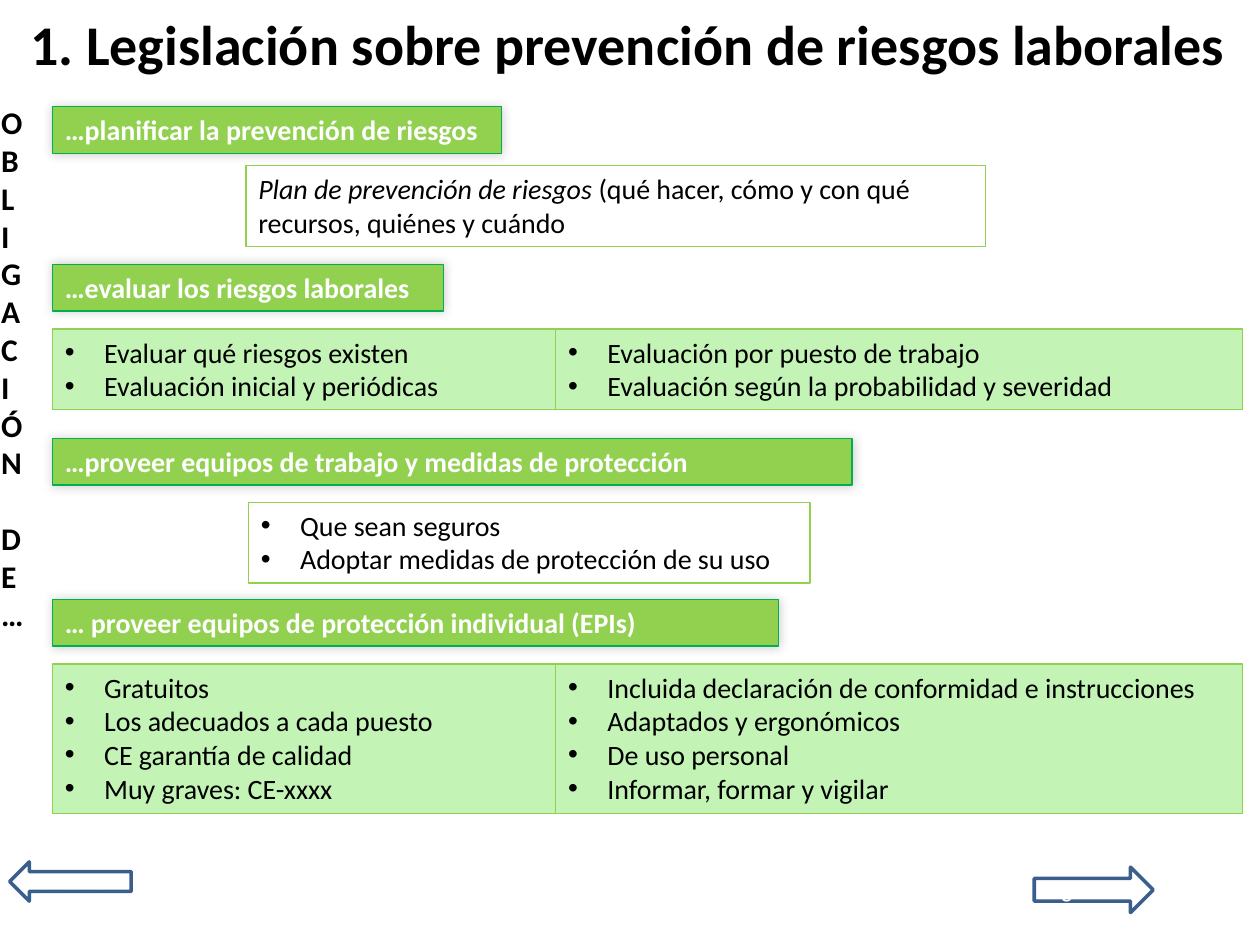
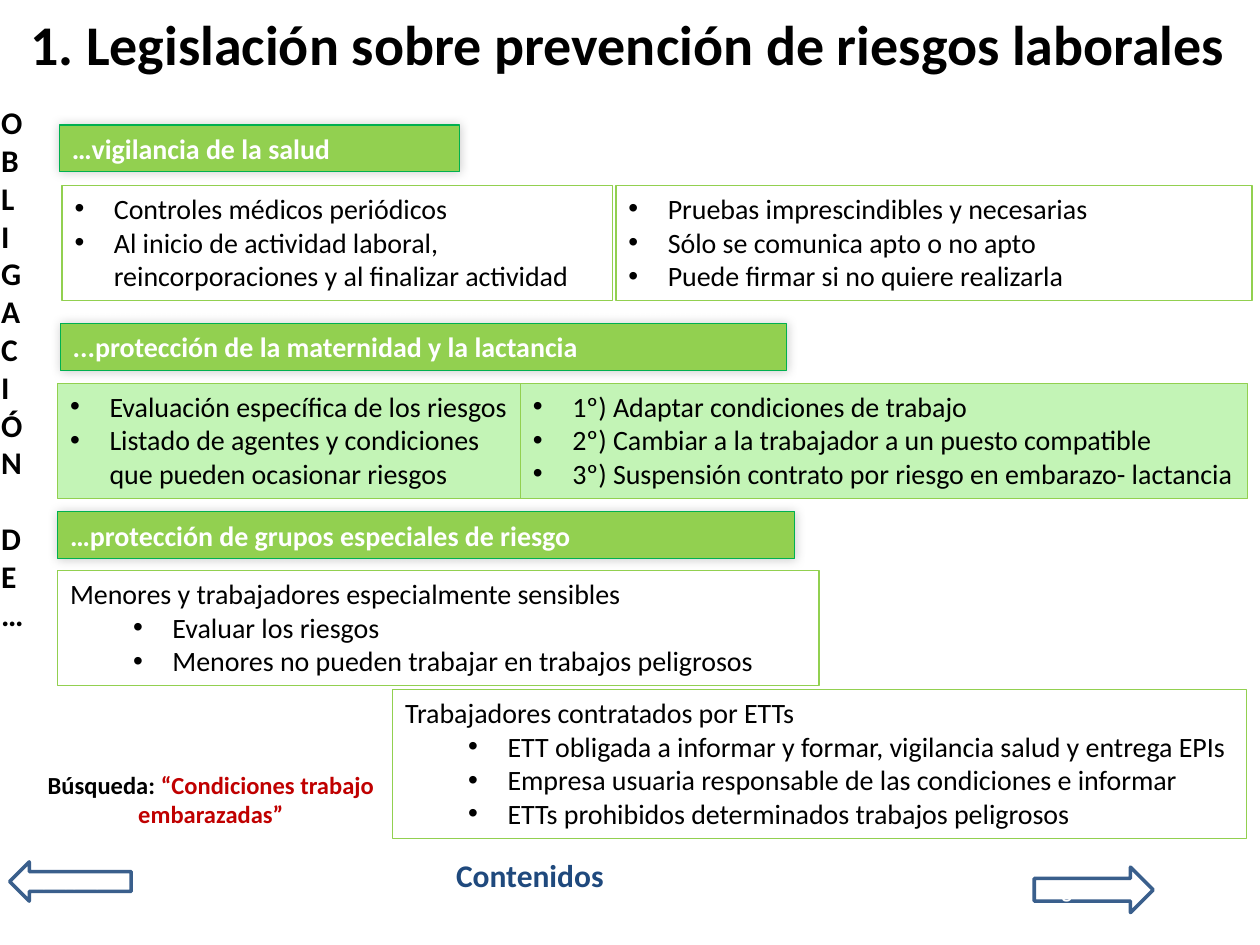
from lxml.etree import SubElement
from pptx import Presentation
from pptx.dml.color import RGBColor
from pptx.enum.shapes import MSO_SHAPE as Form
from pptx.enum.text import MSO_ANCHOR as Anchor, MSO_AUTO_SIZE as Fit, PP_ALIGN as Align
from pptx.oxml.ns import qn
from pptx.util import Pt

FONT = "Calibri"
BLACK, WHITE, RED, NAVY, BLUE = "000000", "FFFFFF", "C00000", "1F497D", "3A5F8C"
LIME, PALE, GREEN = "92D050", "C3F4B6", "00B050"
TITLE = "1. Legislación sobre prevención de riesgos laborales"
SIDE = "OBLIGACIÓN DE…"
HANG = 22.5  # space between a bullet and its text
STEP = 36    # shift of a list under a heading


def paint(part, color):
    """Give a fill or a line one solid colour; None leaves it empty."""
    fill = getattr(part, "fill", part)
    if color is None:
        fill.background()
    else:
        fill.solid()
        fill.fore_color.rgb = RGBColor.from_string(color)


def write(frame, text, size=16, color=BLACK, bold=False, italic=False,
          align=Align.LEFT, margin=None, join=False):
    """Add a paragraph, or a run to the last one; a margin makes a bullet."""
    para = frame.paragraphs[-1]
    if para.runs and not join:
        para = frame.add_paragraph()
    para.alignment = align
    run = para.add_run()
    run.text = text
    font = run.font
    font.name, font.size, font.bold, font.italic = FONT, Pt(size), bold, italic
    font.color.rgb = RGBColor.from_string(color)
    if margin is not None:
        props = para._p.get_or_add_pPr()
        props.set("marL", str(Pt(margin)))
        props.set("indent", str(-Pt(HANG)))
        SubElement(props, qn("a:buFont"), typeface="Arial")
        SubElement(props, qn("a:buChar"), char="•")


def draw(slide, form, area, fill=None, line=LIME, width=0.75, anchor=Anchor.TOP):
    """Add a flat preset shape in the given area."""
    shape = slide.shapes.add_shape(form, *map(Pt, area))
    shape.shadow.inherit = False
    paint(shape.fill, fill)
    paint(shape.line, line)
    shape.line.width = Pt(width)
    shape.text_frame.vertical_anchor = anchor
    return shape


def tall(lines):
    """Height of a box that holds this many lines."""
    return 7.2 + 19.5 * lines


def glow(shape):
    """Put a soft shadow round a shape."""
    effects = shape.element.spPr.find(qn("a:effectLst"))
    outer = SubElement(effects, qn("a:outerShdw"), blurRad=str(Pt(6)),
                       dist="0", dir="13500000", rotWithShape="0")
    color = SubElement(outer, qn("a:srgbClr"), val=BLACK)
    SubElement(color, qn("a:alpha"), val="20000")


def band(slide, left, top, width, text):
    """Add the green heading of one duty."""
    shape = draw(slide, Form.RECTANGLE, (left, top, width, tall(1)), LIME, GREEN)
    glow(shape)
    write(shape.text_frame, text, color=WHITE, bold=True)


def card(slide, left, top, width, lines, items=(), fill=None, head=None):
    """Add a framed list, with an optional heading above its bullets."""
    shape = draw(slide, Form.RECTANGLE, (left, top, width, tall(lines)), fill)
    frame = shape.text_frame
    if head:
        write(frame, head)
    for item in items:
        write(frame, item, margin=HANG + STEP if head else HANG)
    return frame


def label(slide, *area):
    """Add an empty text box that wraps."""
    box = slide.shapes.add_textbox(*map(Pt, area))
    box.text_frame.word_wrap = True
    return box


def arrow(slide, form, area, text):
    """Add a hollow navigation arrow."""
    shape = draw(slide, form, area, line=BLUE, width=2, anchor=Anchor.MIDDLE)
    write(shape.text_frame, text, 12, WHITE, bold=True, align=Align.CENTER)


def start(deck):
    """Add a slide with the shared title, side text and arrows."""
    slide = deck.slides.add_slide(deck.slide_layouts[5])
    title = slide.shapes.title
    title.left, title.top, title.width, title.height = map(Pt, (10, 2, 710, 45.5))
    frame = title.text_frame
    frame.auto_size, frame.vertical_anchor = Fit.NONE, Anchor.MIDDLE
    write(frame, TITLE, 32, bold=True)
    side = label(slide, -6.5, 55.5, 40, 410)
    side.element.txBody.bodyPr.set("vert", "wordArtVert")
    write(side.text_frame, SIDE, 18, bold=True)
    arrow(slide, Form.LEFT_ARROW, (5.5, 492.5, 69.5, 22.5), "anterior")
    arrow(slide, Form.RIGHT_ARROW, (591, 495.5, 68, 26), "siguiente")
    return slide


def plan(deck):
    """Build the slide on planning, assessing and equipping."""
    slide = start(deck)
    for top, width, text in (
            (61, 256.5, "…planificar la prevención de riesgos"),
            (151, 223.5, "…evaluar los riesgos laborales"),
            (250.5, 457, "…proveer equipos de trabajo y medidas de protección"),
            (342.5, 415, "… proveer equipos de protección individual (EPIs)")):
        band(slide, 30, top, width, text)
    frame = card(slide, 140.5, 94.5, 422.5, 2)
    write(frame, "Plan de prevención de riesgos ", italic=True)
    write(frame, "(qué hacer, cómo y con qué recursos, quiénes y cuándo", join=True)
    card(slide, 142, 287, 321, 2, (
        "Que sean seguros", "Adoptar medidas de protección de su uso"))
    for top, *pair in (
            (188, ("Evaluar qué riesgos existen",
                   "Evaluación inicial y periódicas"),
                  ("Evaluación por puesto de trabajo",
                   "Evaluación según la probabilidad y severidad")),
            (379.5, ("Gratuitos", "Los adecuados a cada puesto",
                     "CE garantía de calidad", "Muy graves: CE-xxxx"),
                    ("Incluida declaración de conformidad e instrucciones",
                     "Adaptados y ergonómicos", "De uso personal",
                     "Informar, formar y vigilar"))):
        for left, width, items in zip((30, 317.5), (287.5, 392.5), pair):
            card(slide, left, top, width, len(items), items, PALE)


def care(deck):
    """Build the slide on health, maternity and groups at risk."""
    slide = start(deck)
    band(slide, 34, 71.5, 228.5, "…vigilancia de la salud")
    band(slide, 34.5, 185, 415, "...protección de la maternidad y la lactancia")
    band(slide, 33, 292.5, 421, "…protección de grupos especiales de riesgo")
    card(slide, 35.5, 106, 314.5, 3, (
        "Controles médicos periódicos",
        "Al inicio de actividad laboral, reincorporaciones y al finalizar actividad"))
    card(slide, 352, 106, 363.5, 3, (
        "Pruebas imprescindibles y necesarias",
        "Sólo se comunica apto o no apto",
        "Puede firmar si no quiere realizarla"))
    card(slide, 33, 219, 273, 3, (
        "Evaluación específica de los riesgos",
        "Listado de agentes y condiciones que pueden ocasionar riesgos"), PALE)
    card(slide, 297.5, 219, 415.5, 3, (
        "1º) Adaptar condiciones de trabajo",
        "2º) Cambiar a la trabajador a un puesto compatible",
        "3º) Suspensión contrato por riesgo en embarazo- lactancia"), PALE)
    card(slide, 33, 326, 435, 3, (
        "Evaluar los riesgos",
        "Menores no pueden trabajar en trabajos peligrosos"),
        head="Menores y trabajadores especialmente sensibles")
    card(slide, 224.5, 394, 488, 4, (
        "ETT obligada a informar y formar, vigilancia salud y entrega EPIs",
        "Empresa usuaria responsable de las condiciones e informar",
        "ETTs prohibidos determinados trabajos peligrosos"),
        head="Trabajadores contratados por ETTs")
    hint = label(slide, 11.5, 436.5, 218, 41).text_frame
    write(hint, "Búsqueda:", 14, bold=True, align=Align.CENTER)
    write(hint, " “Condiciones trabajo embarazadas”", 14, RED, bold=True,
          align=Align.CENTER, join=True)
    home = label(slide, 253.5, 485.5, 103.5, 29).text_frame
    write(home, "Contenidos", 18, NAVY, bold=True)


deck = Presentation()
deck.slide_width, deck.slide_height = Pt(720), Pt(540)
plan(deck)
care(deck)
deck.save("out.pptx")
